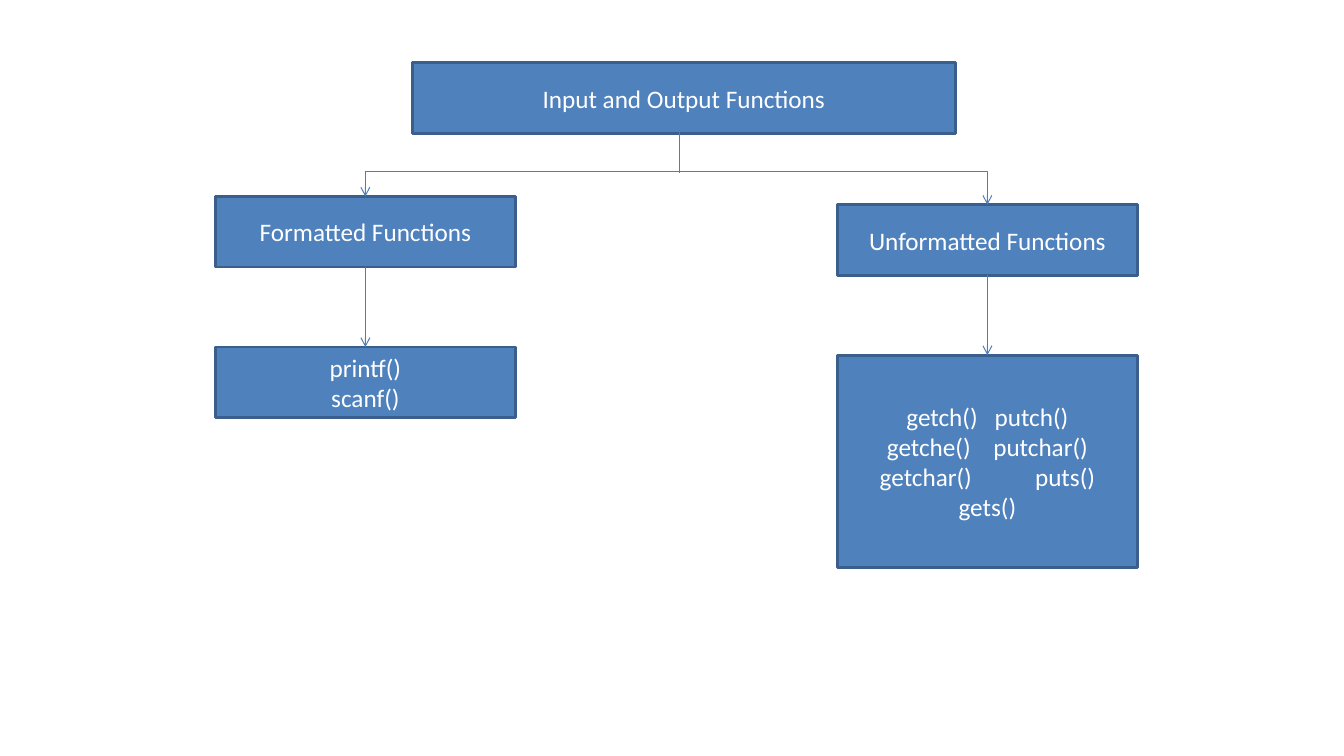
from pptx import Presentation
from pptx.dml.color import RGBColor
from pptx.enum.shapes import MSO_CONNECTOR, MSO_SHAPE
from pptx.enum.text import MSO_ANCHOR, MSO_AUTO_SIZE, PP_ALIGN
from pptx.oxml.ns import qn
from pptx.util import Pt
from lxml import etree

STRAIGHT, ELBOW = MSO_CONNECTOR.STRAIGHT, MSO_CONNECTOR.ELBOW
RECTANGLE = MSO_SHAPE.RECTANGLE
MIDDLE, CENTER, NO_FIT = MSO_ANCHOR.MIDDLE, PP_ALIGN.CENTER, MSO_AUTO_SIZE.NONE
TOP_SITE, BOTTOM_SITE = 0, 2
COLORS = {"box": "4F81BD", "border": "3A5F8C", "arrow": "4B7EBC", "text": "FFFFFF"}
FRAME_FORMAT = {"word_wrap": True, "auto_size": NO_FIT, "vertical_anchor": MIDDLE}
FONT_FORMAT = {"name": "Calibri", "size": Pt(18), "bold": False}


def color(name):
    return RGBColor.from_string(COLORS[name])


def apply(target, formats):
    for attribute, value in formats.items():
        setattr(target, attribute, value)


class FunctionTree:
    """Draws the boxes and arrows of a function tree on one slide."""

    def __init__(self, slide):
        self.slide = slide

    def add_words(self, paragraph, words, spacing=0):
        run = paragraph.add_run()
        run.text = words
        apply(run.font, FONT_FORMAT)
        run.font.color.rgb = color("text")
        if spacing:
            run.font._element.set("spc", str(spacing * 100))

    def style_box(self, box, place, lines, gaps=()):
        apply(box, dict(zip(("left", "top", "width", "height"), map(Pt, place))))
        box.shadow.inherit = False
        box.fill.solid()
        box.fill.fore_color.rgb = color("box")
        box.line.color.rgb = color("border")
        box.line.width = Pt(2)
        frame = box.text_frame
        apply(frame, FRAME_FORMAT)
        for row, words in enumerate(lines):
            paragraph = frame.add_paragraph() if row else frame.paragraphs[0]
            paragraph.alignment = CENTER
            for column, word in enumerate(words):
                if column:
                    self.add_words(paragraph, " ", gaps[row])
                self.add_words(paragraph, word)
        return box

    def title(self, place, heading):
        return self.style_box(self.slide.shapes.title, place, [[heading]])

    def box(self, place, lines, gaps=()):
        rectangle = self.slide.shapes.add_shape(RECTANGLE, *map(Pt, place))
        return self.style_box(rectangle, place, lines, gaps)

    def line(self, kind, ends, arrows=()):
        connector = self.slide.shapes.add_connector(kind, *map(Pt, ends))
        connector.line.color.rgb = color("arrow")
        connector.line.width = Pt(0.75)
        for end in arrows:
            etree.SubElement(connector.get_or_add_ln(), qn(f"a:{end}"), type="arrow")
        etree.SubElement(connector.element.spPr, qn("a:effectLst"))
        return connector

    def arrow_down(self, parent, child):
        arrow = self.line(STRAIGHT, (0, 0, 0, 0), ["tailEnd"])
        arrow.begin_connect(parent, BOTTOM_SITE)
        arrow.end_connect(child, TOP_SITE)

    def bracket(self, first, second, rise):
        bracket = self.line(ELBOW, (0, 0, 0, 0), ["headEnd", "tailEnd"])
        bracket.begin_connect(first, TOP_SITE)
        bracket.end_connect(second, TOP_SITE)
        drop, span = second.top - first.top, second.left - first.left
        middle_x = first.left + (first.width + span) // 2
        middle_y = first.top + drop // 2
        apply(bracket, {"width": drop, "height": span,
                        "left": middle_x - drop // 2, "top": middle_y - span // 2})
        properties = bracket.element.spPr
        transform = properties.find(qn("a:xfrm"))
        transform.attrib.pop("flipV", None)
        transform.set("rot", "16200000")
        transform.set("flipH", "1")
        adjustments = properties.find(qn("a:prstGeom")).find(qn("a:avLst"))
        ratio = round(-Pt(rise) / drop * 100000)
        etree.SubElement(adjustments, qn("a:gd"), name="adj1", fmla=f"val {ratio}")


def main():
    deck = Presentation()
    deck.slide_width, deck.slide_height = Pt(960), Pt(540)
    tree = FunctionTree(deck.slides.add_slide(deck.slide_layouts[5]))

    width, height, level_gap = 214, 50.4, 107.5
    left, right = 154, 598.3
    left_top, right_top = 140.4, 146.2

    tree.title((294.5, 44.9, 388, height), "Input and Output Functions")
    formatted = tree.box((left, left_top, width, height), [["Formatted Functions"]])
    unformatted = tree.box((right, right_top, width, height), [["Unformatted Functions"]])
    tree.bracket(formatted, unformatted, 18)
    tree.line(STRAIGHT, (485.3, 92.2, 485.3, 123.8))
    formatted_calls = tree.box((left, left_top + level_gap, width, height),
                               [["printf()"], ["scanf()"]])
    unformatted_calls = tree.box(
        (right, right_top + level_gap, width, 152),
        [["getch()", "putch()"], ["getche()", "putchar()"],
         ["getchar()", "puts()"], ["gets()"]],
        gaps=(8, 12, 41, 0))
    tree.arrow_down(formatted, formatted_calls)
    tree.arrow_down(unformatted, unformatted_calls)
    deck.save("out.pptx")


if __name__ == "__main__":
    main()
